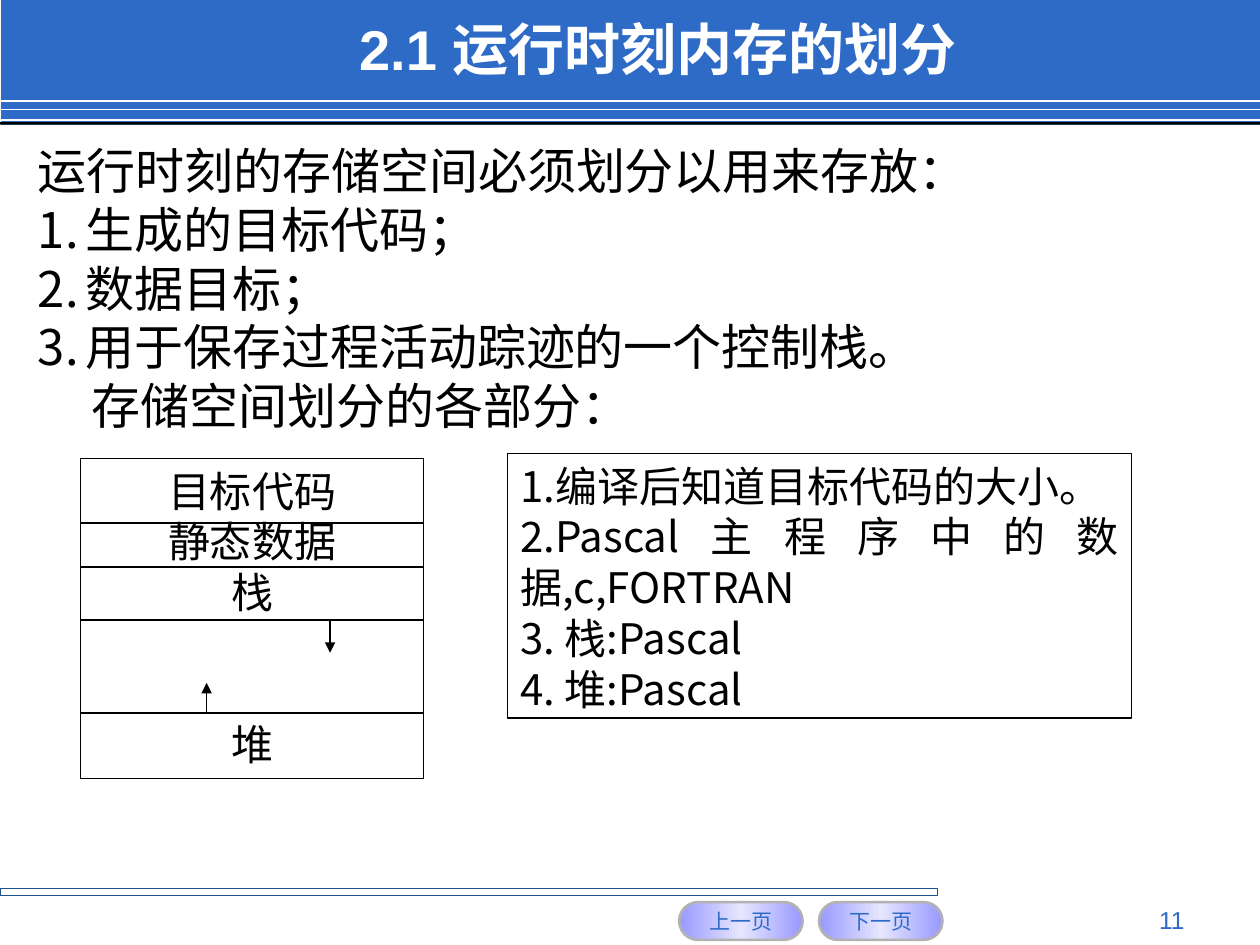
"""Build the slide on how run-time memory is divided."""
from copy import deepcopy

from lxml.etree import SubElement
from pptx import Presentation
from pptx.dml.color import RGBColor
from pptx.enum.shapes import MSO_CONNECTOR, MSO_SHAPE
from pptx.enum.text import MSO_ANCHOR, MSO_AUTO_SIZE, PP_ALIGN
from pptx.oxml.ns import qn
from pptx.util import Inches, Pt

BLUE = RGBColor(0x2D, 0x6B, 0xC7)
NAVY = RGBColor(0x1D, 0x52, 0x8D)
BLACK = RGBColor(0, 0, 0)
WHITE = RGBColor(0xFF, 0xFF, 0xFF)
GRAY = RGBColor(0xB2, 0xB2, 0xB2)
LILAC = RGBColor(0x99, 0x99, 0xFF)
PALE = RGBColor(0xE6, 0xE6, 0xFF)
CJK = "Noto Sans CJK SC"

TITLE = "2.1 运行时刻内存的划分"
INTRO = "运行时刻的存储空间必须划分以用来存放："
STORED = ["生成的目标代码；", "数据目标；", "用于保存过程活动踪迹的一个控制栈。"]
PARTS_LEAD = "存储空间划分的各部分："
REGIONS = ["目标代码", "静态数据", "栈", "堆"]
REGION_EDGES = [4.15, 4.5, 4.92, 5.66]
GROWTH = [(1.64, 5.65, 5.42), (2.62, 4.91, 5.18)]
NOTES = ["1.编译后知道目标代码的大小。", "2.Pascal主程序中的数据,c,FORTRAN",
         "3. 栈:Pascal", "4. 堆:Pascal"]
BANNER_LINES = [0.8, 0.87, 0.95]
BUTTONS = [("上一页", 5.39), ("下一页", 6.5)]
PAGE = "11"
MEMORY_LEFT, MEMORY_WIDTH = 0.64, 2.72


def place(shape, left, top, width, height):
    box = {"left": left, "top": top, "width": width, "height": height}
    for side, value in box.items():
        setattr(shape, side, Inches(value))


def write(shape, texts, size, latin, color=BLACK, bold=False,
          align=PP_ALIGN.LEFT, anchor=MSO_ANCHOR.TOP, spacing=None, wrap=True):
    frame = shape.text_frame
    layout = {"auto_size": MSO_AUTO_SIZE.NONE, "word_wrap": wrap,
              "vertical_anchor": anchor}
    for name, value in layout.items():
        setattr(frame, name, value)
    frame.text = "\n".join(texts)
    paragraph_format = {"alignment": align, "line_spacing": spacing,
                        "space_before": Pt(0), "space_after": Pt(0)}
    font_format = {"size": Pt(size), "bold": bold, "name": latin}
    for paragraph in frame.paragraphs:
        for name, value in paragraph_format.items():
            setattr(paragraph, name, value)
        for run in paragraph.runs:
            for name, value in font_format.items():
                setattr(run.font, name, value)
            run.font.color.rgb = color
            SubElement(run.font._element, qn("a:ea"), typeface=CJK)
    return frame.paragraphs


def add_box(shapes, box, fill=None, line=None, weight=0.75, kind=MSO_SHAPE.RECTANGLE):
    shape = shapes.add_shape(kind, *map(Inches, box))
    shape.shadow.inherit = False
    if fill is None:
        shape.fill.background()
    else:
        shape.fill.solid()
        shape.fill.fore_color.rgb = fill
    if line is None:
        shape.line.fill.background()
    else:
        shape.line.color.rgb = line
        shape.line.width = Pt(weight)
    return shape


def add_line(shapes, ends, color, weight=0.75, arrow=False):
    line = shapes.add_connector(MSO_CONNECTOR.STRAIGHT, *map(Inches, ends))
    line.line.color.rgb = color
    line.line.width = Pt(weight)
    if arrow:
        SubElement(line.line._get_or_add_ln(), qn("a:tailEnd"), type="triangle")
    SubElement(line._element.spPr, qn("a:effectLst"))


def add_button(shapes, label, left):
    button = add_box(shapes, (left, 7.16, 0.98, 0.3), WHITE, GRAY, 1.5,
                     MSO_SHAPE.ROUNDED_RECTANGLE)
    button.adjustments[0] = 0.5
    button.fill.gradient()
    button.fill.gradient_angle = 0
    first = button.fill.gradient_stops[0]._gs
    first.addnext(deepcopy(first))
    for stop, color, position in zip(button.fill.gradient_stops,
                                     (LILAC, PALE, LILAC), (0, 0.5, 1)):
        stop.color.rgb = color
        stop.position = position
    write(button, [label], 12, "Arial", BLUE, align=PP_ALIGN.CENTER,
          anchor=MSO_ANCHOR.MIDDLE, wrap=False)


def add_frame(shapes):
    add_box(shapes, (0.01, 0, 9.99, 0.99), BLUE)
    for y in BANNER_LINES:
        add_line(shapes, (0, y, 10, y), WHITE, 1)
    add_box(shapes, (0, 0.97, 10, 0.02), BLACK)
    add_box(shapes, (0, 7.05, 7.44, 0.06), line=NAVY)
    for label, left in BUTTONS:
        add_button(shapes, label, left)
    page = shapes.add_textbox(*map(Inches, (7.17, 7.13, 2.33, 0.27)))
    write(page, [PAGE], 14, "Arial", BLUE, align=PP_ALIGN.RIGHT)


def fill_placeholders(slide):
    title, body = slide.shapes.title, slide.placeholders[1]
    for holder in (title, body):
        slide.shapes._spTree.append(holder._element)
    place(title, 2.75, 0.09, 6.92, 0.58)
    write(title, [TITLE], 32, "Arial", WHITE, True, anchor=MSO_ANCHOR.MIDDLE)
    place(body, 0.2, 1.07, 9.02, 2.44)
    lines = write(body, [INTRO, *STORED, PARTS_LEAD], 28, CJK, spacing=Pt(33.5))
    for line in lines:
        properties = line._p.get_or_add_pPr()
        numbered = line.text in STORED
        margin = 0.38 if numbered else 0.43 if line.text == PARTS_LEAD else 0
        properties.set("marL", str(Inches(margin)))
        properties.set("indent", str(Inches(-0.38 if numbered else 0)))
        if numbered:
            SubElement(properties, qn("a:buFont"), typeface=CJK)
            SubElement(properties, qn("a:buAutoNum"), type="arabicPeriod")
        else:
            SubElement(properties, qn("a:buNone"))


def add_memory_map(shapes):
    memory = add_box(shapes, (MEMORY_LEFT, 3.64, MEMORY_WIDTH, 2.54), WHITE, BLACK)
    regions = write(memory, REGIONS, 24, "Times New Roman",
                    align=PP_ALIGN.CENTER, spacing=Pt(29))
    regions[-1].space_before = Pt(58)
    for y in REGION_EDGES:
        add_line(shapes, (MEMORY_LEFT, y, MEMORY_LEFT + MEMORY_WIDTH, y), BLACK)
    for x, start, end in GROWTH:
        add_line(shapes, (x, start, x, end), BLACK, arrow=True)
    notes = add_box(shapes, (4.03, 3.6, 4.95, 2.1), WHITE, BLACK)
    write(notes, NOTES, 24, CJK, align=PP_ALIGN.JUSTIFY, spacing=Pt(29))


def main():
    deck = Presentation()
    deck.slide_width, deck.slide_height = Inches(10), Inches(7.5)
    slide = deck.slides.add_slide(deck.slide_layouts[1])
    add_frame(slide.shapes)
    fill_placeholders(slide)
    add_memory_map(slide.shapes)
    deck.save("out.pptx")


if __name__ == "__main__":
    main()
